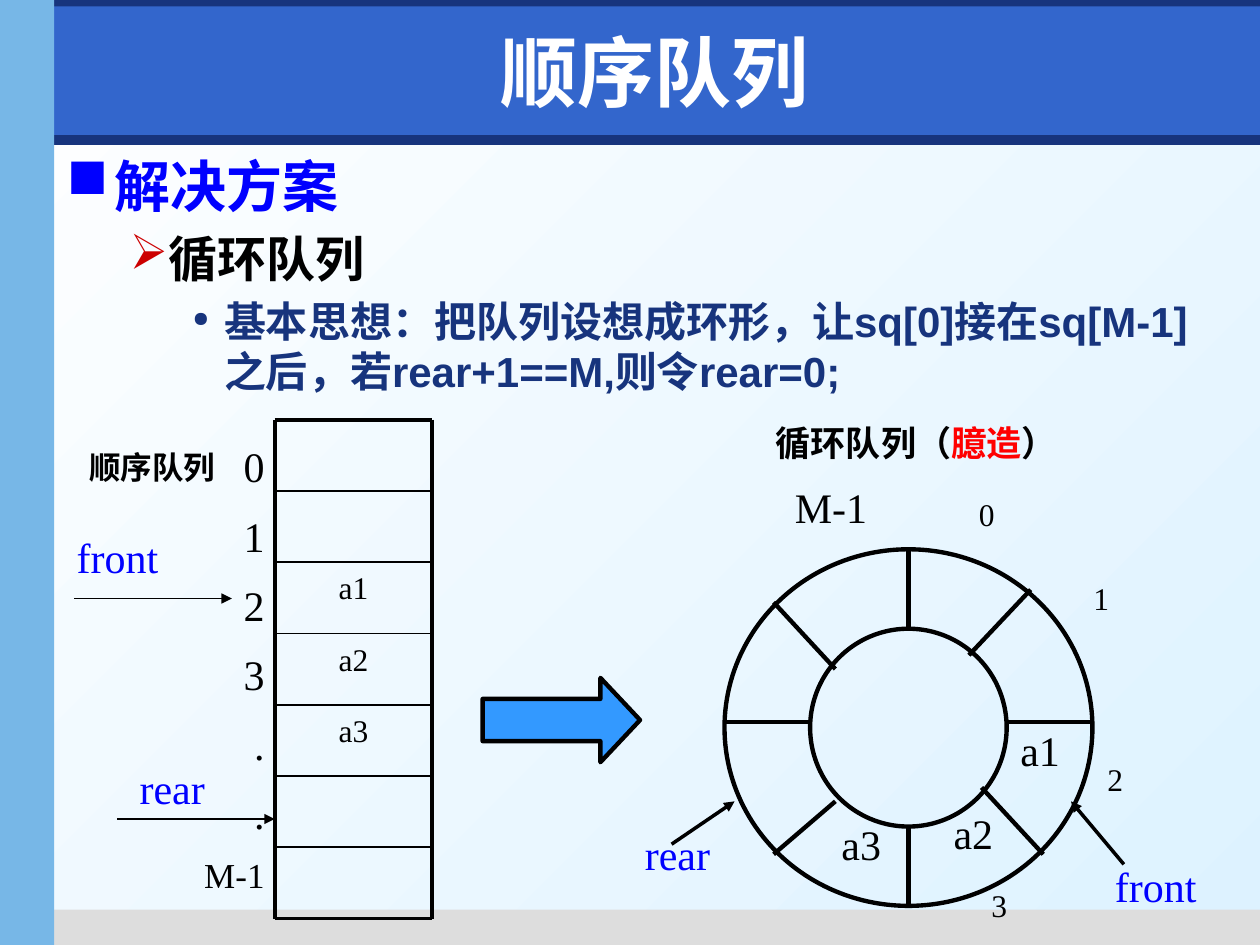
import pptx
import pptx.util
import pptx.dml.color
import pptx.enum.shapes
import pptx.enum.text
import pptx.oxml.ns
import lxml.etree

Inches = pptx.util.Inches
Pt = pptx.util.Pt
SHAPE = pptx.enum.shapes.MSO_SHAPE
ALIGN = pptx.enum.text.PP_ALIGN
ANCHOR = pptx.enum.text.MSO_ANCHOR
SERIF = "Times New Roman"
BLACK, BLUE, NAVY, WHITE, RED = "000000", "0000FF", "17347D", "FFFFFF", "FF0000"


def rgb(value):
    return pptx.dml.color.RGBColor.from_string(value)


def add_element(parent, tag, **attributes):
    element = lxml.etree.SubElement(parent, pptx.oxml.ns.qn(tag))
    for name, value in attributes.items():
        element.set(name, str(value))
    return element


def add_shape(page, kind, box, fill=None, line_width=None):
    shape = page.shapes.add_shape(kind, *[Inches(v) for v in box])
    shape.shadow.inherit = False
    if fill:
        shape.fill.solid()
        shape.fill.fore_color.rgb = rgb(fill)
    else:
        shape.fill.background()
    if line_width:
        shape.line.color.rgb = rgb(BLACK)
        shape.line.width = Pt(line_width)
    else:
        shape.line.fill.background()
    return shape


def add_line(page, start, end, width, arrow=False):
    line = page.shapes.add_connector(
        pptx.enum.shapes.MSO_CONNECTOR.STRAIGHT,
        *[Inches(v) for v in (*start, *end)])
    line.line.color.rgb = rgb(BLACK)
    line.line.width = Pt(width)
    if arrow:
        add_element(line.line._get_or_add_ln(), "a:tailEnd", type="triangle")
    add_element(line._element.spPr, "a:effectLst")


def add_box(page, box, right_inset=0.1):
    text_box = page.shapes.add_textbox(*[Inches(v) for v in box])
    frame = text_box.text_frame
    frame.word_wrap = True
    frame.margin_right = Inches(right_inset)
    return frame


def add_span(para, text, size, color, font=SERIF, bold=False):
    span = para.add_run()
    span.text = text
    span.font.size = Pt(size)
    span.font.name = font
    span.font.bold = bold
    span.font.color.rgb = rgb(color)


def add_label(page, box, text, size=24, color=BLACK, bold=False, align=ALIGN.LEFT):
    right_inset = 0.1 if align == ALIGN.CENTER else 0
    para = add_box(page, box, right_inset).paragraphs[0]
    para.alignment = align
    add_span(para, text, size, color, bold=bold)


def draw_frame(page):
    """Background gradient and the coloured bands."""
    fill = page.background.fill
    fill.gradient()
    fill.gradient_angle = 315
    for stop, (position, color) in zip(fill.gradient_stops, ((0, WHITE), (1, "DDF2FF"))):
        stop.position = position
        stop.color.rgb = rgb(color)
    bands = [
        ((0.04, 1.07, 9.96, 0.08), NAVY),
        ((0.35, 7.22, 9.65, 0.28), "DDDDDD"),
        ((0, 0, 10, 0.21), NAVY),
        ((0.43, 0.05, 9.57, 1.02), "3366CC"),
        ((0, 0, 0.43, 7.5), "77B7E7"),
    ]
    for box, color in bands:
        add_shape(page, SHAPE.RECTANGLE, box, color)


def draw_title(page, box):
    frame = add_box(page, box)
    frame.vertical_anchor = ANCHOR.MIDDLE
    para = frame.paragraphs[0]
    para.alignment = ALIGN.CENTER
    add_span(para, "顺序队列", 44, WHITE, "DejaVu Sans", True)


def draw_body(page, box):
    frame = add_box(page, box)
    # text, size, colour, left margin, hanging indent, bullet, its colour, its size in %
    points = [
        ("解决方案", 32, BLUE, 0.38, 0.38, "■", BLUE, 100),
        ("循环队列", 28, BLACK, 0.81, 0.31, "➢", "CC0000", 100),
        ("基本思想：把队列设想成环形，让sq[0]接在sq[M-1]之后，若rear+1==M,则令rear=0;",
         24, NAVY, 1.25, 0.25, "●", NAVY, 50),
    ]
    for level, (text, size, color, margin, hang, mark, mark_color, percent) in enumerate(points):
        para = frame.add_paragraph() if level else frame.paragraphs[0]
        para.level = level
        if level:
            para.space_before = Pt(0.2 * size)
        properties = para._p.get_or_add_pPr()
        properties.set("marL", str(Inches(margin)))
        properties.set("indent", str(-Inches(hang)))
        add_element(add_element(properties, "a:buClr"), "a:srgbClr", val=mark_color)
        add_element(properties, "a:buSzPct", val=percent * 1000)
        add_element(properties, "a:buChar", char=mark)
        add_span(para, text, size, color, "Arial", True)


def draw_ring(page, box):
    """Circular queue: two ellipses, eight spokes, labels and pointers."""
    left, top, width, height = box
    gap_x, gap_y = 0.68, 0.63
    middle = width / 2

    def at(x, y):
        return left + x, top + y

    cells = [("a3", 0.83, 2.09), ("a2", 1.72, 2.0), ("a1", 2.25, 1.34)]
    for text, x, y in cells:
        add_label(page, (*at(x, y), 0.53, 0.5), text)
    add_shape(page, SHAPE.OVAL,
              (*at(gap_x, gap_y), width - 2 * gap_x, height - 2 * gap_y), line_width=2.5)
    add_shape(page, SHAPE.OVAL, box, line_width=2.5)

    spokes = [
        ((width - gap_x, 1.37), (width, 1.37)),
        ((0, 1.37), (gap_x, 1.37)),
        ((middle, 0), (middle, gap_y)),
        ((middle, height - gap_y), (middle, height)),
        ((0.39, 0.42), (0.88, 0.95)),
        ((2.04, 1.89), (2.53, 2.42)),
        ((2.43, 0.32), (1.94, 0.84)),
        ((0.88, 2.0), (0.39, 2.42)),
    ]
    for start, end in spokes:
        add_line(page, at(*start), at(*end), 2.5)

    indexes = [("0", 1.92, -0.48), ("1", 2.83, 0.19), ("2", 2.94, 1.62), ("3", 2.02, 2.62)]
    for text, x, y in indexes:
        add_label(page, (*at(x, y), 0.4, 0.4), text, 18)
    add_label(page, (*at(0.46, -0.59), 0.78, 0.5), "M-1")

    pointers = [
        ("rear", (-0.73, 2.17), (-0.42, 2.34), (0.08, 2.0)),
        ("front", (3.0, 2.42), (3.17, 2.5), (2.75, 2.0)),
    ]
    for text, place, start, end in pointers:
        add_line(page, at(*start), at(*end), 2, arrow=True)
        add_label(page, (*at(*place), 0.92, 0.5), text, color=BLUE)

    # Caption with the red word
    caption = add_box(page, (*at(0.31, -1.06), 2.6, 0.44), 0).paragraphs[0]
    for text, color in (("循环队列（", BLACK), ("臆造", RED), ("）", BLACK)):
        add_span(caption, text, 20, color, bold=True)


def draw_array(page, box):
    """Sequential queue: seven cells, index column and pointers."""
    left, top, width, height = box
    right, bottom = left + width, top + height
    rows = 7
    step = height / rows
    add_label(page, (left - 1.57, top + 0.18, 1.3, 0.4), "顺序队列", 18, bold=True)
    for row, text in enumerate(("a1", "a2", "a3"), start=2):
        add_label(page, (left, top + row * step, width, step), text, 18, align=ALIGN.CENTER)
    for row in range(rows + 1):
        y = top + row * step
        add_line(page, (left, y), (right, y), 2.25 if row in (0, rows) else 1)
    for x in (left, right):
        add_line(page, (x, top), (x, bottom), 2.25)

    # Pointers: text, label place, arrow start
    pointers = [("rear", (-1.17, 2.67), (-1.25, 3.17)), ("front", (-1.67, 0.84), (-1.59, 1.42))]
    for text, (label_x, label_y), (x, y) in pointers:
        add_line(page, (left + x, top + y), (left + x + 1.25, top + y), 0.75, arrow=True)
        add_label(page, (left + label_x, top + label_y, 0.92, 0.5), text, color=BLUE)

    frame = add_box(page, (left - 0.67, top + 0.12, 0.75, 3.8), 0.16)
    for row, text in enumerate(("0", "1", "2", "3", ".", ".", "M-1")):
        size = 20 if text == "M-1" else 24
        para = frame.add_paragraph() if row else frame.paragraphs[0]
        para.alignment = ALIGN.RIGHT
        if row:
            para.space_before = Pt(0.45 * size)
        add_span(para, text, size, BLACK)


def main():
    deck = pptx.Presentation()
    deck.slide_width, deck.slide_height = Inches(10), Inches(7.5)
    page = deck.slides.add_slide(deck.slide_layouts[6])
    draw_frame(page)
    draw_title(page, (0.59, 0.13, 9.21, 0.87))
    draw_body(page, (0.43, 1.15, 9.37, 2.1))
    arrow = add_shape(page, SHAPE.RIGHT_ARROW, (3.83, 5.38, 1.25, 0.67), "3399FF", 2.5)
    arrow.adjustments[1] = 0.47
    draw_ring(page, (5.75, 4.36, 2.92, 2.83))
    draw_array(page, (2.18, 3.33, 1.25, 3.96))
    deck.save("out.pptx")


if __name__ == "__main__":
    main()
